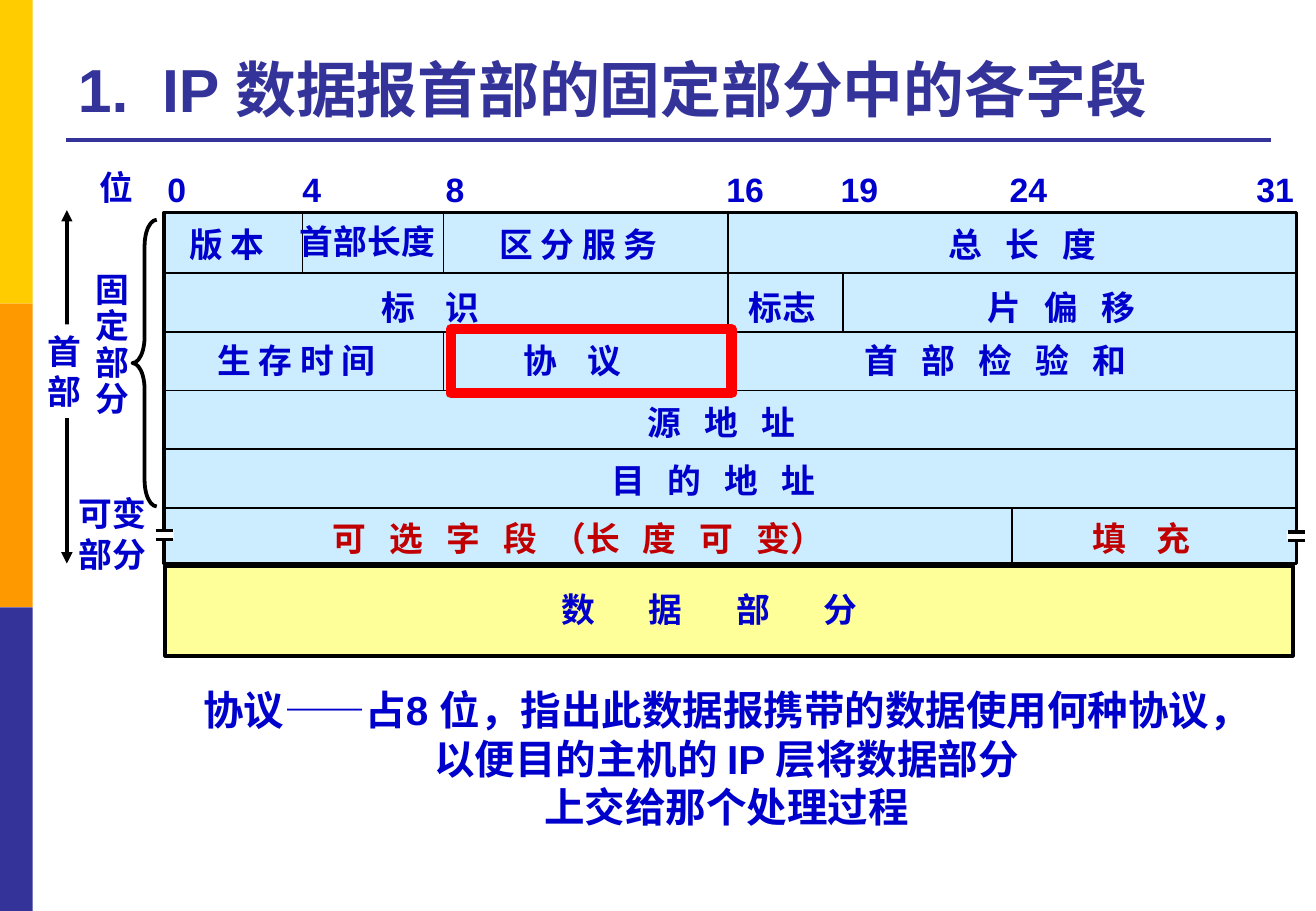
from pptx import Presentation
from pptx.dml.color import RGBColor
from pptx.enum.shapes import MSO_CONNECTOR, MSO_SHAPE
from pptx.enum.text import MSO_ANCHOR, MSO_AUTO_SIZE, PP_ALIGN
from pptx.oxml.ns import qn
from pptx.util import Inches, Pt
from lxml import etree

RECTANGLE = MSO_SHAPE.RECTANGLE
LEFT_BRACE = MSO_SHAPE.LEFT_BRACE
STRAIGHT = MSO_CONNECTOR.STRAIGHT
LEFT, CENTER = PP_ALIGN.LEFT, PP_ALIGN.CENTER
BOTTOM = MSO_ANCHOR.BOTTOM
FIT_SHAPE, FIT_NONE = MSO_AUTO_SIZE.SHAPE_TO_FIT_TEXT, MSO_AUTO_SIZE.NONE

FONT = "Arial"
COLORS = {
    "white": "FFFFFF", "black": "000000", "gold": "FFCC00",
    "orange": "FF9900", "navy": "333399", "blue": "0000CC",
    "dark_red": "C00000", "red": "FF0000",
    "header": "CCECFF", "data": "FFFF99",
}

LABEL_HEIGHT = 0.43
HEADER_LEFT, HEADER_RIGHT, HEADER_TOP = 1.34, 10.68, 1.76
FIRST_RULE, ROW_STEP = 2.25, 0.4825
ROW_RULES = [FIRST_RULE + ROW_STEP * row for row in range(5)]

# Column dividers: x, top, bottom
DIVIDERS = [
    (2.49, HEADER_TOP, ROW_RULES[0]),
    (3.65, HEADER_TOP, ROW_RULES[0]),
    (3.65, ROW_RULES[1], ROW_RULES[2]),
    (5.99, HEADER_TOP, ROW_RULES[2]),
    (6.94, ROW_RULES[0], ROW_RULES[1]),
    (8.33, ROW_RULES[4], 4.66),
]

# Bit numbers: text, left, width
BIT_NUMBERS = [
    ("0", 1.28, 0.36), ("4", 2.39, 0.36), ("8", 3.57, 0.36),
    ("16", 5.88, 0.51), ("19", 6.82, 0.51), ("24", 8.21, 0.51),
    ("31", 10.24, 0.51),
]

# Header fields: text, left, top, width, colour
FIELDS = [
    ("位", 0.72, 1.32, 0.48, "blue"),
    ("版 本", 1.46, 1.79, 0.84, "blue"),
    ("首部长度", 2.37, 1.77, 1.32, "blue"),
    ("区 分 服 务", 4.01, 1.79, 1.56, "blue"),
    ("总   长   度", 7.71, 1.79, 1.51, "blue"),
    ("标    识", 3.04, 2.31, 1.07, "blue"),
    ("标志", 6.06, 2.31, 0.76, "blue"),
    ("片   偏   移", 8.03, 2.31, 1.51, "blue"),
    ("生 存 时 间", 1.69, 2.75, 1.56, "blue"),
    ("协    议", 4.21, 2.75, 1.07, "blue"),
    ("首   部   检   验   和", 7.02, 2.75, 2.54, "blue"),
    ("源   地   址", 5.23, 3.26, 1.51, "blue"),
    ("目   的   地   址", 4.93, 3.74, 2.02, "blue"),
    ("可   选   字   段  （长   度   可   变）", 2.64, 4.21, 4.56, "dark_red"),
    ("填    充", 8.89, 4.21, 1.07, "dark_red"),
]

DESCRIPTION = [
    "协议——占8 位，指出此数据报携带的数据使用何种协议，",
    "以便目的主机的 IP 层将数据部分",
    "上交给那个处理过程",
]


def color(name):
    return RGBColor.from_string(COLORS[name])


def write(frame, lines, size=20, ink="blue", align=LEFT, spacing=None):
    for index, line in enumerate(lines):
        para = frame.paragraphs[0] if index == 0 else frame.add_paragraph()
        para.alignment = align
        if spacing:
            para.line_spacing = spacing
        span = para.add_run()
        span.text = line
        span.font.name = FONT
        span.font.size = Pt(size)
        span.font.bold = True
        span.font.color.rgb = color(ink)


def add_label(page, lines, left, top, width, height=LABEL_HEIGHT, wrap=False, **style):
    box = page.shapes.add_textbox(Inches(left), Inches(top), Inches(width), Inches(height))
    box.text_frame.word_wrap = wrap
    box.text_frame.auto_size = FIT_SHAPE
    write(box.text_frame, lines, **style)


def add_box(page, left, top, width, height, fill=None, line=None, weight=1.0, kind=RECTANGLE):
    box = page.shapes.add_shape(kind, Inches(left), Inches(top), Inches(width), Inches(height))
    box.shadow.inherit = False
    if fill:
        box.fill.solid()
        box.fill.fore_color.rgb = color(fill)
    else:
        box.fill.background()
    if line:
        box.line.color.rgb = color(line)
        box.line.width = Pt(weight)
    else:
        box.line.fill.background()
    return box


def add_line(page, start, end, ink="black", weight=1.0, arrows=False):
    line = page.shapes.add_connector(
        STRAIGHT, Inches(start[0]), Inches(start[1]), Inches(end[0]), Inches(end[1]))
    line.line.color.rgb = color(ink)
    line.line.width = Pt(weight)
    properties = line._element.spPr
    if arrows:
        outline = line.line._get_or_add_ln()
        for end_tag in ("a:headEnd", "a:tailEnd"):
            etree.SubElement(outline, qn(end_tag), type="triangle")
    etree.SubElement(properties, qn("a:effectLst"))


def add_break_mark(page, left, top):
    add_box(page, left, top, 0.16, 0.08, fill="white")
    for y in (top + 0.01, top + 0.08):
        add_line(page, (left + 0.01, y), (left + 0.15, y), weight=2)


def add_title(page, text):
    title = page.shapes.title
    title.left, title.top = Inches(0.54), Inches(0.21)
    title.width, title.height = Inches(9.91), Inches(0.87)
    frame = title.text_frame
    frame.vertical_anchor = BOTTOM
    frame.auto_size = FIT_NONE
    write(frame, [text], size=36, ink="navy")


def add_frame(page):
    for index, name in enumerate(("gold", "orange", "navy")):
        add_box(page, 0, 2.5 * index, 0.27, 2.5, fill=name)
    add_line(page, (0.54, 1.15), (10.46, 1.15), ink="navy", weight=2.25)


def add_datagram(page):
    add_box(page, 1.35, 1.75, 9.32, 2.89, "header", "black", 2)
    add_box(page, 1.36, 4.66, 9.28, 0.74, "data", "black", 2.25)
    for y in ROW_RULES:
        add_line(page, (HEADER_LEFT, y), (HEADER_RIGHT, y))
    for x, top, bottom in DIVIDERS:
        add_line(page, (x, top), (x, bottom))
    for text, left, width in BIT_NUMBERS:
        add_label(page, [text], left, 1.34, width)
    for text, left, top, width, ink in FIELDS:
        add_label(page, [text], left, top, width, ink=ink)
    add_label(page, ["数       据       部       分"], 4.52, 4.8, 3.45, wrap=True)
    add_break_mark(page, 1.27, 4.36)
    add_break_mark(page, 10.59, 4.37)


def add_side_labels(page):
    add_label(page, "固定部分", 0.69, 2.2, 0.48, 1.31, spacing=0.9)
    add_label(page, ["可变", "部分"], 0.55, 4.01, 0.76, 0.77)
    add_line(page, (0.55, 1.73), (0.55, 4.64), weight=2.25, arrows=True)
    header_box = add_box(page, 0.29, 2.67, 0.48, 0.77, fill="white")
    header_box.text_frame.word_wrap = False
    write(header_box.text_frame, "首部")
    brace = add_box(page, 1.09, 1.81, 0.2, 2.36, line="black", weight=2.25, kind=LEFT_BRACE)
    brace.adjustments[0] = 1.08


def main():
    deck = Presentation()
    deck.slide_width, deck.slide_height = Inches(10.83), Inches(7.5)
    page = deck.slides.add_slide(deck.slide_layouts[5])

    # Side bands, title and its rule
    add_frame(page)
    add_title(page, "1.  IP 数据报首部的固定部分中的各字段")

    # Datagram layout with its bracket labels
    add_datagram(page)
    add_side_labels(page)

    # Highlighted field and its explanation
    add_label(page, DESCRIPTION, 1.46, 5.59, 9.04, 1.31, wrap=True, size=24, align=CENTER)
    add_box(page, 3.71, 2.71, 2.31, 0.53, line="red", weight=6)

    deck.save("out.pptx")


if __name__ == "__main__":
    main()
